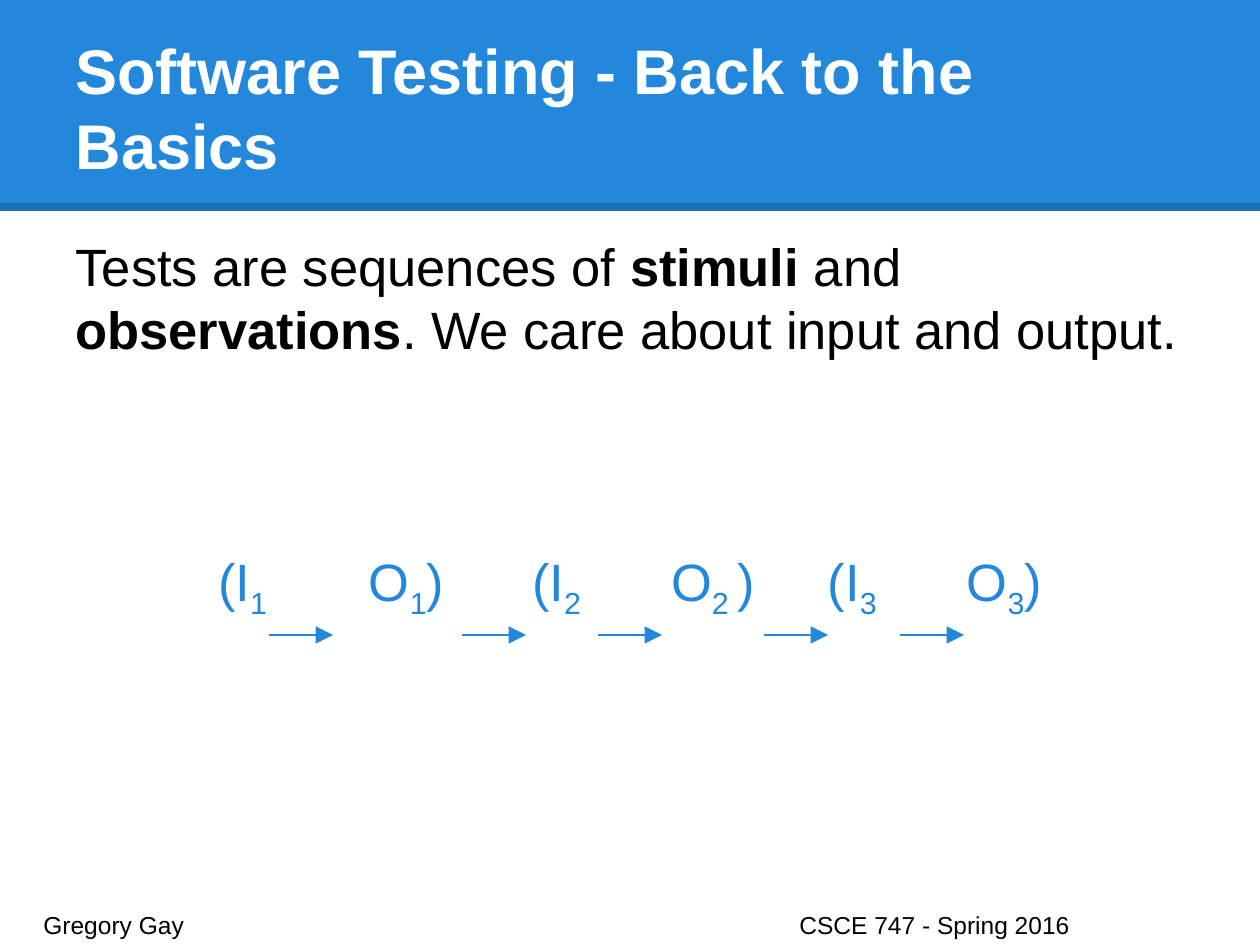
import lxml.etree
import pptx
import pptx.dml.color
import pptx.enum.shapes
import pptx.enum.text
import pptx.oxml.ns
import pptx.util

PX_PER_INCH = 126
BLUE, WHITE, BLACK = "2388DB", "FFFFFF", "000000"
qn = pptx.oxml.ns.qn


def px(length):
    """Turn pixels into EMU."""
    return pptx.util.Emu(round(length * 914400 / PX_PER_INCH))


def rgb(hex_color):
    """Turn a hex string into a colour."""
    return pptx.dml.color.RGBColor.from_string(hex_color)


def place(shape, box):
    """Move a shape to a box of left, top, width and height."""
    shape.left, shape.top, shape.width, shape.height = map(px, box)


def prepare_frame(frame, anchor):
    """Set wrapping, anchor and equal insets."""
    frame.word_wrap = True
    frame.auto_size = pptx.enum.text.MSO_AUTO_SIZE.NONE
    frame.vertical_anchor = anchor
    frame.margin_left = frame.margin_right = pptx.util.Inches(0.1)
    frame.margin_top = frame.margin_bottom = pptx.util.Inches(0.1)


def format_paragraph(paragraph, alignment=pptx.enum.text.PP_ALIGN.LEFT, before=0):
    """Remove bullet and indents, then set alignment and space before."""
    properties = paragraph._p.get_or_add_pPr()
    properties.set("marL", "0")
    properties.set("indent", "0")
    lxml.etree.SubElement(properties, qn("a:buNone"))
    paragraph.alignment = alignment
    paragraph.space_before = pptx.util.Pt(before)


def add_run(paragraph, text, size, color, bold=False, subscript=False):
    """Append one formatted run and return its properties."""
    run = paragraph.add_run()
    run.text = text
    run.font.name = "Arial"
    run.font.size = pptx.util.Pt(size)
    run.font.bold = bold
    run.font.color.rgb = rgb(color)
    properties = run._r.get_or_add_rPr()
    if subscript:
        properties.set("baseline", "-25000")
    return properties


def add_gap(paragraph, width, size, color):
    """Append one space, widened to a width by character spacing."""
    space_points = 0.278 * size
    properties = add_run(paragraph, " ", size, color)
    spacing = width * 72 / PX_PER_INCH - space_points
    properties.set("spc", str(round(spacing * 100)))


def add_line(slide, start, end, color, width):
    """Draw a straight line without shadow and return it with its properties."""
    line = slide.shapes.add_connector(
        pptx.enum.shapes.MSO_CONNECTOR.STRAIGHT, *map(px, start + end))
    line.line.color.rgb = rgb(color)
    line.line.width = pptx.util.Pt(width)
    properties = line.line._get_or_add_ln()
    lxml.etree.SubElement(properties.getparent(), qn("a:effectLst"))
    return line, properties


def build_header(slide, box):
    """Draw the title band, its darker lower edge and the title."""
    left, top, width, height = box
    title = slide.shapes.title
    band = slide.shapes.add_shape(
        pptx.enum.shapes.MSO_SHAPE.RECTANGLE, *map(px, box))
    band.shadow.inherit = False
    band.fill.solid()
    band.fill.fore_color.rgb = rgb(BLUE)
    band.line.fill.background()
    edge_y = top + height - 4
    edge, properties = add_line(
        slide, (left, edge_y), (left + width, edge_y), BLACK, 4.5)
    shade = properties.find(".//" + qn("a:srgbClr"))
    lxml.etree.SubElement(shade, qn("a:alpha"), val="15000")
    for part in (band, edge):
        title.element.addprevious(part.element)

    place(title, (left + 63, top + 38, width - 126, 157))
    prepare_frame(title.text_frame, pptx.enum.text.MSO_ANCHOR.BOTTOM)
    heading = title.text_frame.paragraphs[0]
    format_paragraph(heading)
    add_run(heading, "Software Testing - Back to the Basics", 36, WHITE, bold=True)


def build_body(slide, box):
    """Write the statement and the input and output sequence with its arrows."""
    left, top, width, height = box
    body = slide.placeholders[1]
    place(body, box)
    frame = body.text_frame
    prepare_frame(frame, pptx.enum.text.MSO_ANCHOR.TOP)

    statement = frame.paragraphs[0]
    format_paragraph(statement)
    for text, bold in (("Tests are sequences of ", False), ("stimuli ", True),
                       ("and ", False), ("observations", True),
                       (". We care about input and output.", False)):
        add_run(statement, text, 30, BLACK, bold)

    sequence = frame.add_paragraph()
    format_paragraph(sequence, pptx.enum.text.PP_ALIGN.CENTER, before=108)
    for step, output_step, inner_gap, outer_gap in (
            ("1", "1", 102, 88), ("2", "2 ", 90, 73), ("3", "3", 90, 0)):
        add_run(sequence, "(I", 30, BLUE)
        add_run(sequence, step, 30, BLUE, subscript=True)
        add_gap(sequence, inner_gap, 30, BLUE)
        add_run(sequence, "O", 30, BLUE)
        add_run(sequence, output_step, 30, BLUE, subscript=True)
        add_run(sequence, ")", 30, BLUE)
        if outer_gap:
            add_gap(sequence, outer_gap, 30, BLUE)

    arrow_y = top + 414
    for offset in (206, 399, 535, 701, 837):
        start = left + offset
        _, properties = add_line(
            slide, (start, arrow_y), (start + 64, arrow_y), BLUE, 1.5)
        lxml.etree.SubElement(
            properties, qn("a:tailEnd"), type="triangle", w="lg", len="lg")


def build_footer(slide, box):
    """Write author and course side by side."""
    left, top, width, height = box
    course_offset = 756
    for text, offset, part_width in (
            ("Gregory Gay", 0, course_offset),
            ("CSCE 747 - Spring 2016", course_offset, width - course_offset)):
        credit = slide.shapes.add_textbox(
            *map(px, (left + offset, top, part_width, height)))
        prepare_frame(credit.text_frame, pptx.enum.text.MSO_ANCHOR.TOP)
        line = credit.text_frame.paragraphs[0]
        format_paragraph(line)
        add_run(line, text, 14, BLACK)


def main():
    """Build and save the slide."""
    deck = pptx.Presentation()
    deck.slide_width, deck.slide_height = px(1260), px(945)
    slide = deck.slides.add_slide(deck.slide_layouts[1])
    build_header(slide, (0, 0, 1260, 211))
    build_body(slide, (63, 221, 1134, 684))
    build_footer(slide, (31, 897, 1198, 38))
    deck.save("out.pptx")


if __name__ == "__main__":
    main()
